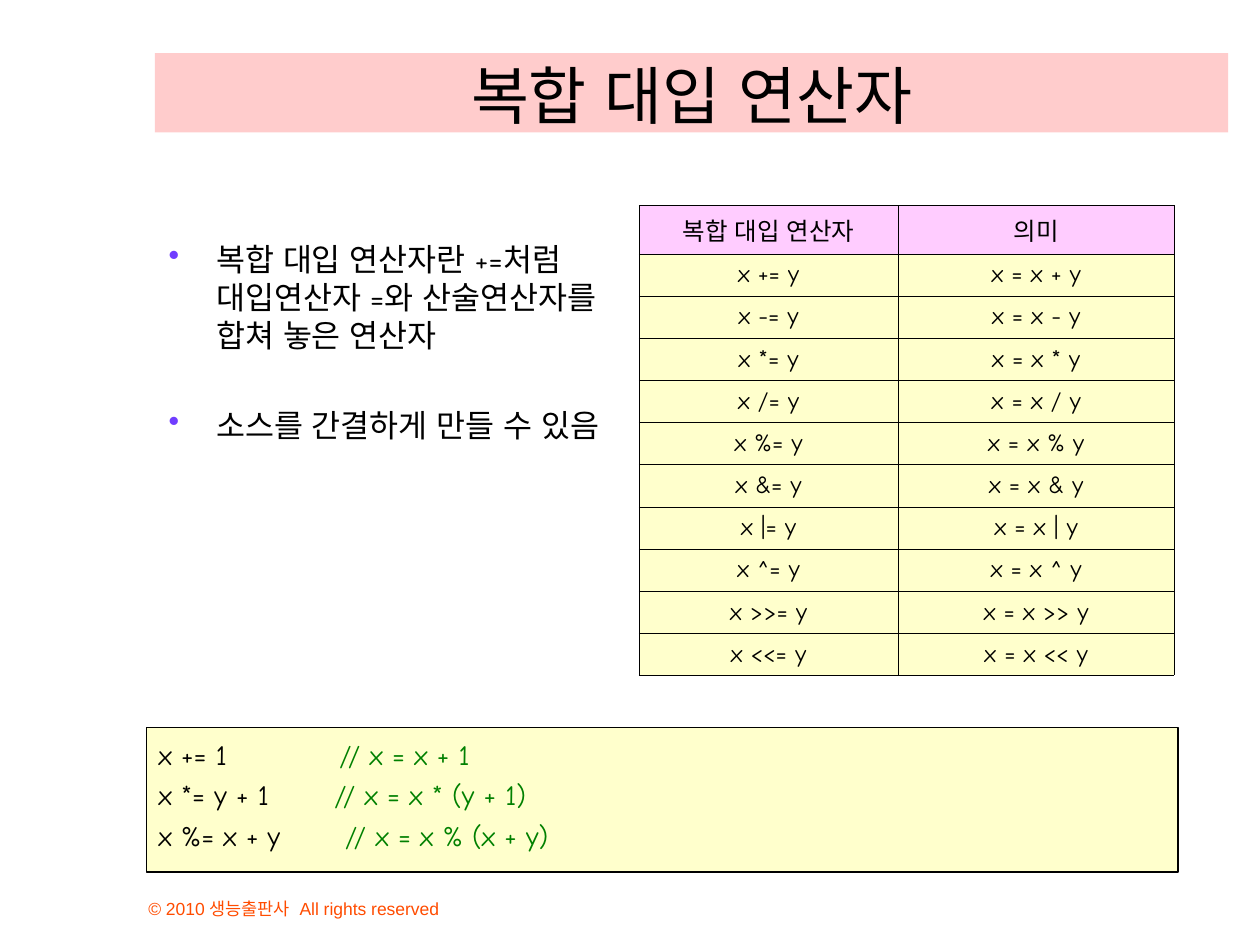
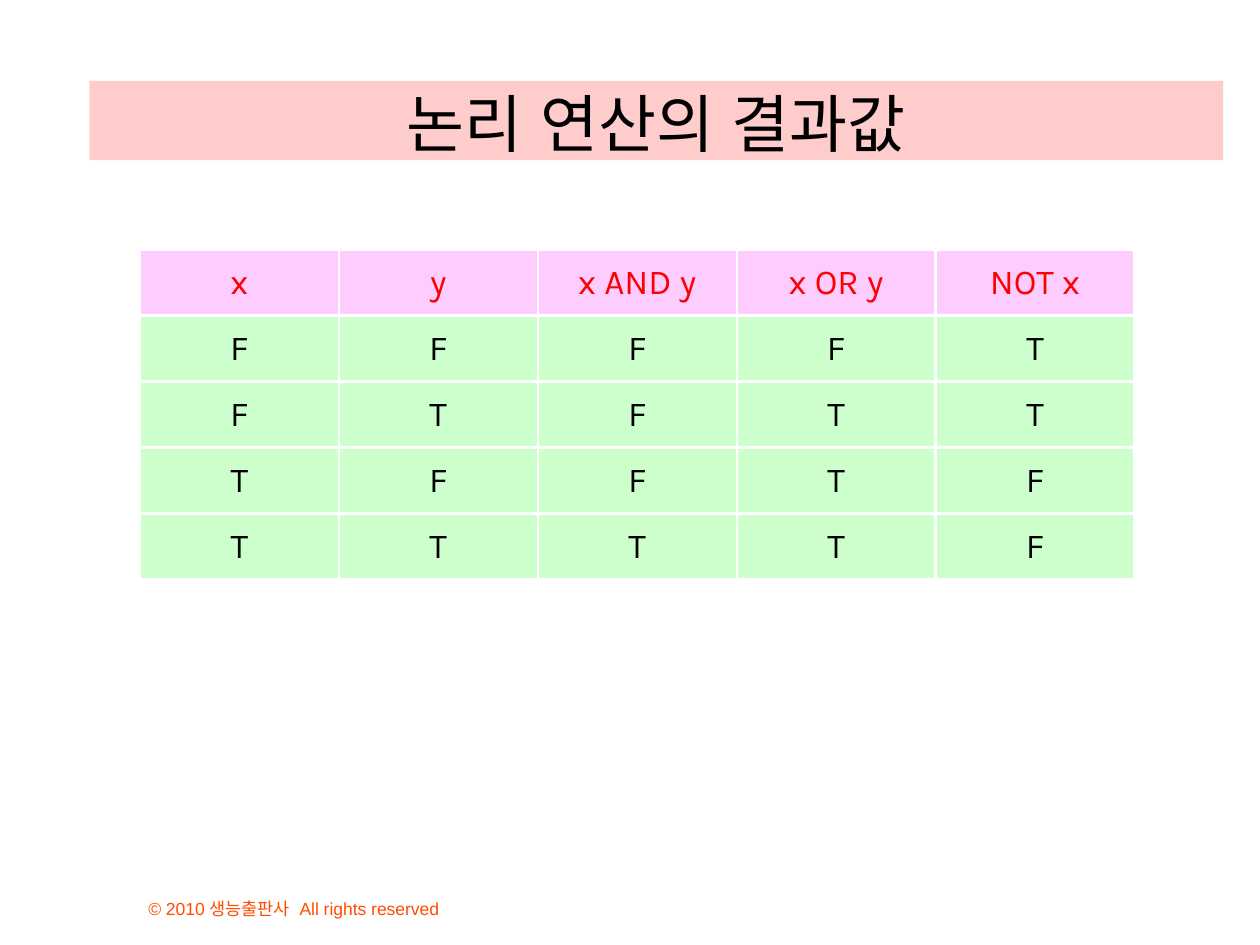
from itertools import product

from lxml import etree
from pptx import Presentation
from pptx.dml.color import RGBColor
from pptx.enum.lang import MSO_LANGUAGE_ID
from pptx.enum.shapes import MSO_SHAPE
from pptx.enum.text import MSO_ANCHOR, MSO_AUTO_SIZE, PP_ALIGN
from pptx.oxml.ns import qn
from pptx.util import Cm, Pt

RECTANGLE = MSO_SHAPE.RECTANGLE
KOREAN = MSO_LANGUAGE_ID.KOREAN
TOP, MIDDLE, BOTTOM = MSO_ANCHOR.TOP, MSO_ANCHOR.MIDDLE, MSO_ANCHOR.BOTTOM
LEFT, CENTER = PP_ALIGN.LEFT, PP_ALIGN.CENTER
NO_FIT = MSO_AUTO_SIZE.NONE
TITLE_ONLY = 5

BLACK, WHITE, RED, GREEN, ORANGE, VIOLET = "000000", "FFFFFF", "FF0000", "008000", "FF4C00", "703DFF"
ROSE, PINK, CREAM, MINT = "FFCCCC", "FFCCFF", "FFFFCC", "CCFFCC"
HAND, HANGUL, SANS, PLAIN = "Comic Neue", "Noto Sans CJK KR", "Arial", "Karla"
FOOTER = "© 2010 생능출판사  All rights reserved"


def color(value):
    return RGBColor.from_string(value)


def set_values(target, values):
    for name, value in values.items():
        setattr(target, name, value)


def add_element(parent, tag, **attributes):
    return etree.SubElement(parent, qn(tag), attributes)


class DeckBuilder:
    def __init__(self):
        self.deck = Presentation()
        self.deck.slide_width, self.deck.slide_height = Cm(25.4), Cm(19.05)
        self.page = None

    def start_page(self, title, *place):
        self.page = self.deck.slides.add_slide(self.deck.slide_layouts[TITLE_ONLY])
        box = self.page.shapes.title
        self.place(box, *place)
        self.paint(box, ROSE)
        self.frame(box, BOTTOM, margin_top=0, margin_bottom=0)
        self.add_text(box.text_frame.paragraphs[0], title, 36, align=CENTER)
        self.footer()

    def place(self, box, left, top, width, height):
        set_values(box, {"left": Cm(left), "top": Cm(top), "width": Cm(width), "height": Cm(height)})

    def paint(self, target, value):
        target.fill.solid()
        target.fill.fore_color.rgb = color(value)

    def frame(self, box, anchor, **margins):
        set_values(box.text_frame, {"word_wrap": True, "auto_size": NO_FIT,
                                    "vertical_anchor": anchor, **margins})

    def add_text(self, para, text, size, value=BLACK, face=HAND, align=LEFT):
        para.alignment = align
        span = para.add_run()
        span.text = text
        set_values(span.font, {"size": Pt(size), "name": face, "bold": False, "language_id": KOREAN})
        span.font.color.rgb = color(value)
        add_element(span.font._element, "a:ea", typeface=HANGUL)

    def text_box(self, left, top, width, height, anchor):
        box = self.page.shapes.add_textbox(Cm(left), Cm(top), Cm(width), Cm(height))
        self.frame(box, anchor)
        return box.text_frame

    def paragraphs(self, frame, items, gap):
        for index, item in enumerate(items):
            para = frame.add_paragraph() if index else frame.paragraphs[0]
            if index:
                para.space_before = Pt(gap)
            yield para, item

    def footer(self):
        frame = self.text_box(2.74, 17.58, 9.73, 1.07, BOTTOM)
        self.add_text(frame.paragraphs[0], FOOTER, 10, ORANGE, SANS)

    def bullets(self, items, *place):
        frame = self.text_box(*place, TOP)
        for para, item in self.paragraphs(frame, items, 30):
            properties = para._p.get_or_add_pPr()
            indent = str(Cm(0.96))
            properties.set("marL", indent)
            properties.set("indent", "-" + indent)
            add_element(add_element(properties, "a:buClr"), "a:srgbClr", val=VIOLET)
            add_element(properties, "a:buChar", char="•")
            self.add_text(para, item, 18)

    def code(self, lines, *place):
        box = self.page.shapes.add_shape(RECTANGLE, *map(Cm, place))
        box.shadow.inherit = False
        self.paint(box, CREAM)
        box.line.color.rgb = color(BLACK)
        box.line.width = Pt(0.75)
        self.frame(box, TOP, margin_top=Cm(0.2))
        for para, (statement, comment, stop) in self.paragraphs(box.text_frame, lines, 4):
            stops = add_element(para._p.get_or_add_pPr(), "a:tabLst")
            add_element(stops, "a:tab", pos=str(Cm(stop)), algn="l")
            self.add_text(para, statement + "\t", 16)
            self.add_text(para, comment, 16, GREEN)

    def border(self, cell, value, width):
        properties = cell._tc.get_or_add_tcPr()
        for side in ("a:lnL", "a:lnR", "a:lnT", "a:lnB"):
            line = add_element(properties, side, w=str(Pt(width)))
            add_element(add_element(line, "a:solidFill"), "a:srgbClr", val=value)

    def table(self, rows, left, top, widths, heights, size, head, body, edge):
        shape = self.page.shapes.add_table(len(rows), len(widths), Cm(left), Cm(top),
                                           Cm(sum(widths)), Cm(sum(heights)))
        table = shape.table
        set_values(table, {"first_row": False, "horz_banding": False})
        for column, width in zip(table.columns, widths):
            column.width = Cm(width)
        for row, height in zip(table.rows, heights):
            row.height = Cm(height)
        for row_index, row in enumerate(rows):
            fill, value, face = body if row_index else head
            for column_index, text in enumerate(row):
                cell = table.cell(row_index, column_index)
                cell.vertical_anchor = MIDDLE
                self.border(cell, *edge)
                self.paint(cell, fill)
                self.add_text(cell.text_frame.paragraphs[0], text, size, value, face, CENTER)


def compound_assignment(builder):
    builder.start_page("복합 대입 연산자", 3.12, 1.07, 21.64, 1.6)
    builder.bullets(["복합 대입 연산자란 +=처럼 대입연산자 =와 산술연산자를 합쳐 놓은 연산자",
                     "소스를 간결하게 만들 수 있음"], 3.15, 4.72, 9.3, 7.44)
    operators = "+ - * / % & | ^ >> <<".split()
    rows = [("복합 대입 연산자", "의미")]
    rows += [(f"x {sign}= y", f"x = x {sign} y") for sign in operators]
    builder.table(rows, 12.88, 4.14, [5.23, 5.56], [0.97] + [0.85] * len(operators), 14,
                  (PINK, BLACK, HANGUL), (CREAM, BLACK, HAND), (BLACK, 0.06))
    builder.code([("x += 1", "// x = x + 1", 3.64),
                  ("x *= y + 1", "// x = x * (y + 1)", 3.54),
                  ("x %= x + y", "// x = x % (x + y)", 3.76)], 2.95, 14.66, 20.8, 2.92)


def logic_results(builder):
    builder.start_page("논리 연산의 결과값", 1.8, 1.63, 22.86, 1.6)
    rows = [("x", "y", "x AND y", "x OR y", "NOT x")]
    rows += [(x, y, min(x, y), max(x, y), "F" if x == "T" else "T") for x, y in product("FT", repeat=2)]
    builder.table(rows, 2.82, 5.03, [4.01] * 5, [1.33] * 5, 20,
                  (PINK, RED, PLAIN), (MINT, BLACK, PLAIN), (WHITE, 1.47))


def main():
    builder = DeckBuilder()
    compound_assignment(builder)
    logic_results(builder)
    builder.deck.save("out.pptx")


if __name__ == "__main__":
    main()
